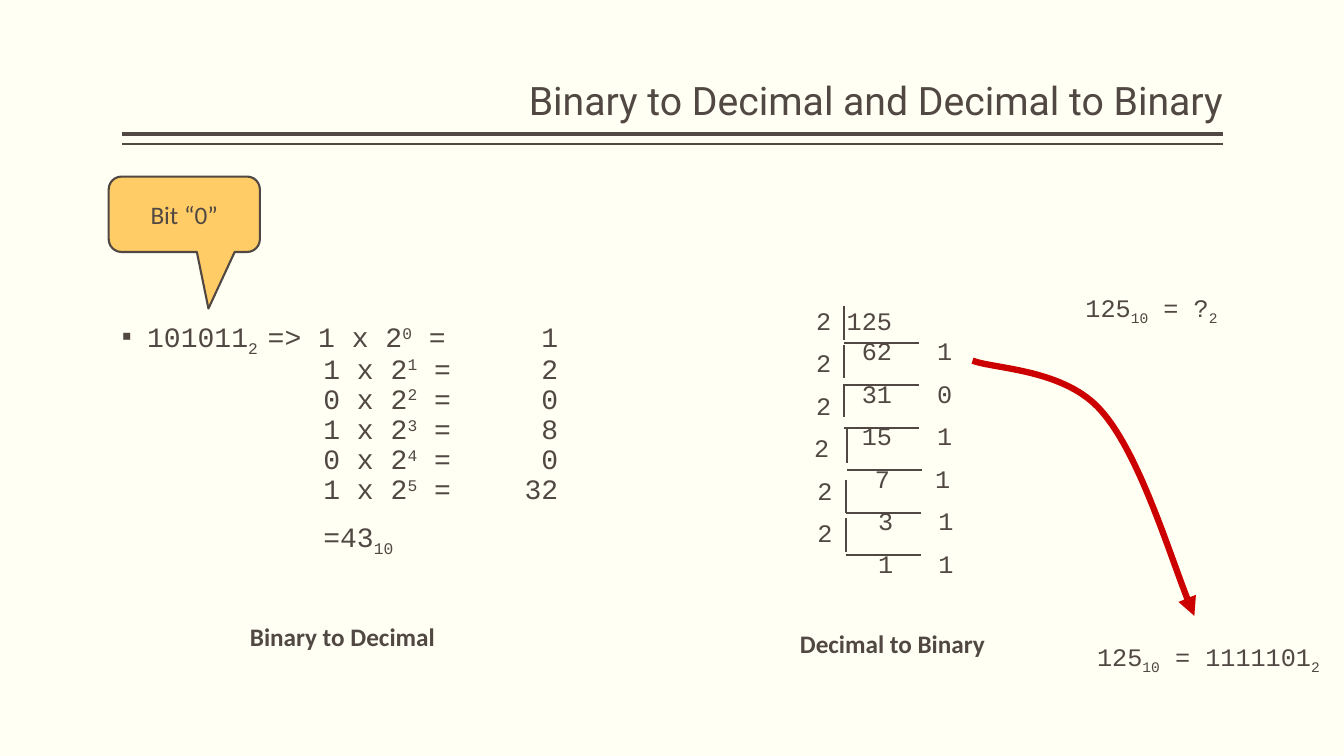
from lxml import etree
from pptx import Presentation
from pptx import util as u
from pptx.dml.color import RGBColor
from pptx.enum import shapes, text
from pptx.oxml.ns import qn

COLORS = {"bg": "FFFFF3", "ink": "514843", "callout": "FFCC66", "arrow": "CC0000"}
MONO, SANS, HEAD = "Courier New", "Calibri", "Roboto"
SUB, SUP = -25000, 30000
LEFT, RIGHT, CENTER = text.PP_ALIGN.LEFT, text.PP_ALIGN.RIGHT, text.PP_ALIGN.CENTER


def rgb(name):
    return RGBColor.from_string(COLORS[name])


def child(parent, tag, **attrs):
    return etree.SubElement(parent, qn(tag), {k: str(v) for k, v in attrs.items()})


class Deck:
    def __init__(self, width, height):
        self.prs = Presentation()
        self.prs.slide_width, self.prs.slide_height = u.Cm(width), u.Cm(height)
        self.s = self.prs.slides.add_slide(self.prs.slide_layouts[5])
        fill = self.s.background.fill
        fill.solid()
        fill.fore_color.rgb = rgb("bg")

    def font(self, r, name, size, bold=False):
        r.font.name, r.font.size, r.font.bold = name, u.Pt(size), bold
        r.font.color.rgb = rgb("ink")

    def runs(self, p, parts, size, name=MONO, bold=False):
        """Each part is plain text or a (text, baseline) pair."""
        for part in parts:
            words, base = part if isinstance(part, tuple) else (part, 0)
            r = p.add_run()
            r.text = words
            self.font(r, name, size, bold)
            if base:
                r._r.get_or_add_rPr().set("baseline", str(base))

    def tabs(self, p, *stops):
        tab_list = child(p._p.get_or_add_pPr(), "a:tabLst")
        for pos, align in stops:
            child(tab_list, "a:tab", pos=u.Cm(pos), algn=align)

    def title(self, words, x, y, w, h):
        sp = self.s.shapes.title
        sp.left, sp.top, sp.width, sp.height = map(u.Cm, (x, y, w, h))
        tf = sp.text_frame
        tf.text = words
        tf.margin_left = tf.margin_right = 0
        tf.vertical_anchor = text.MSO_ANCHOR.BOTTOM
        p = tf.paragraphs[0]
        p.alignment, p.line_spacing = RIGHT, 0.9
        self.font(p.runs[0], HEAD, 28)

    def box(self, x, y, w, h, wrap=True):
        tf = self.s.shapes.add_textbox(*map(u.Cm, (x, y, w, h))).text_frame
        tf.word_wrap = wrap
        return tf

    def label(self, parts, x, y, w, h, name=MONO, bold=False, align=CENTER, wrap=True):
        p = self.box(x, y, w, h, wrap).paragraphs[0]
        p.alignment = align
        self.runs(p, parts, 18, name, bold)

    def line(self, x1, y1, x2, y2, width=1.5):
        cx = self.s.shapes.add_connector(
            shapes.MSO_CONNECTOR.STRAIGHT, *map(u.Cm, (x1, y1, x2, y2)))
        cx.line.color.rgb, cx.line.width = rgb("ink"), u.Pt(width)
        child(cx._element.spPr, "a:effectLst")

    def callout(self, words, x, y, w, h, adjustments):
        sp = self.s.shapes.add_shape(
            shapes.MSO_SHAPE.ROUNDED_RECTANGULAR_CALLOUT, *map(u.Cm, (x, y, w, h)))
        for i, value in enumerate(adjustments):
            sp.adjustments[i] = value
        sp.shadow.inherit = False
        sp.fill.solid()
        sp.fill.fore_color.rgb = rgb("callout")
        sp.line.color.rgb, sp.line.width = rgb("ink"), u.Pt(1.5)
        tf = sp.text_frame
        tf.text = words
        tf.vertical_anchor = text.MSO_ANCHOR.MIDDLE
        tf.paragraphs[0].alignment = CENTER
        self.font(tf.paragraphs[0].runs[0], SANS, 18)

    def curved_arrow(self, points, width):
        pts = [(u.Cm(x), u.Cm(y)) for x, y in points]
        fb = self.s.shapes.build_freeform(*pts[0])
        fb.add_line_segments(pts[1:], close=False)
        sp = fb.convert_to_shape()
        sp.shadow.inherit = False
        sp.fill.background()
        sp.line.color.rgb, sp.line.width = rgb("arrow"), u.Pt(width)
        child(sp.line._get_or_add_ln(), "a:tailEnd", type="triangle")
        # Every three points become one Bézier segment
        outline = next(sp._element.iter(qn("a:path")))
        segments = outline.findall(qn("a:lnTo"))
        for i in range(0, len(segments), 3):
            curve = child(outline, "a:cubicBezTo")
            for seg in segments[i:i + 3]:
                curve.append(seg[0])
                outline.remove(seg)

    def expansion(self, rows, total, x, y, w, h):
        tf = self.box(x, y, w, h)
        tf.margin_left = tf.margin_right = 0
        for i, (bit, value) in enumerate(rows):
            p = tf.paragraphs[0] if i == 0 else tf.add_paragraph()
            p.line_spacing = 0.9
            lead = ["101011", ("2 ", SUB), "=> "] if i == 0 else ["\t"]
            self.runs(p, lead + [f"{bit} x 2", (str(i), SUP), f" =\t{value}"], 20)
            if i == 0:
                pPr = p._p.get_or_add_pPr()
                pPr.set("marL", str(u.Cm(0.64)))
                pPr.set("indent", str(-u.Cm(0.64)))
                child(pPr, "a:buFont", typeface="Arial")
                child(pPr, "a:buChar", char="▪")
                self.tabs(p, (11, "r"))
            else:
                self.tabs(p, (5.08, "l"), (11, "r"))
        p = tf.add_paragraph()
        p.line_spacing, p.space_before = 0.9, u.Pt(10)
        self.runs(p, ["\t=" + total, ("10", SUB)], 20)
        self.tabs(p, (5.08, "l"))

    def division(self, steps, y, pitch):
        for i, (quotient, remainder, x, bar_x, bar_y) in enumerate(steps):
            top = y + i * pitch
            tf = self.box(x, top, 5.72, 2.29)
            tf.text = ("2\t125" if i == 0 else "2") + f"\n\t{quotient}\t{remainder}"
            for p in tf.paragraphs:
                self.font(p.runs[0], MONO, 18)
                self.tabs(p, (1.91, "r"), (3.43, "r"))
            self.line(bar_x, bar_y, bar_x, bar_y + 0.84)
            self.line(bar_x, top + pitch, bar_x + 1.9, top + pitch)


def main():
    d = Deck(33.87, 19.05)

    # Title with double rule
    d.title("Binary to Decimal and Decimal to Binary", 3.07, 0.2, 27.74, 3.05)
    for y, width in ((3.38, 3), (3.63, 1)):
        d.line(30.81, y, 3.07, y, width)

    # Binary to decimal
    d.expansion([(1, 1), (1, 2), (0, 0), (1, 8), (0, 0), (1, 32)], "43",
                3.07, 7.95, 15, 6.5)
    d.callout("Bit “0”", 2.74, 4.45, 3.81, 1.9, (0.16, 1.25, 0.17))

    # Decimal to binary: quotient, remainder, box left, bar left, bar top
    d.division([
        (62, 1, 20.32, 21.26, 7.72),
        (31, 0, 20.32, 21.26, 8.69),
        (15, 1, 20.32, 21.26, 9.68),
        (7, 1, 20.27, 21.34, 10.82),
        (3, 1, 20.35, 21.31, 12.09),
        (1, 1, 20.35, 21.31, 13.06),
    ], 7.57, 1.07)

    # Question, arrow and answer
    d.label(["125", ("10", SUB), " = ?", ("2", SUB)], 26.16, 7.24, 5.72, 1.27)
    d.label(["125", ("10", SUB), " = 1111101", ("2", SUB)], 25.91, 16.03, 9.09, 1.27)
    d.curved_arrow([(24.51, 9.09), (25.07, 9.3), (26.85, 9.3), (27.76, 10.36),
                    (28.7, 11.43), (29.62, 14.43), (30.1, 15.52)], 4.5)

    # Captions
    for words, x, y, w in (("Binary to Decimal", 6.05, 15.52, 5.69),
                           ("Decimal to Binary", 19.91, 15.7, 6.1)):
        d.label([words], x, y, w, 1.02, SANS, True, LEFT, False)

    d.prs.save("out.pptx")


if __name__ == "__main__":
    main()
